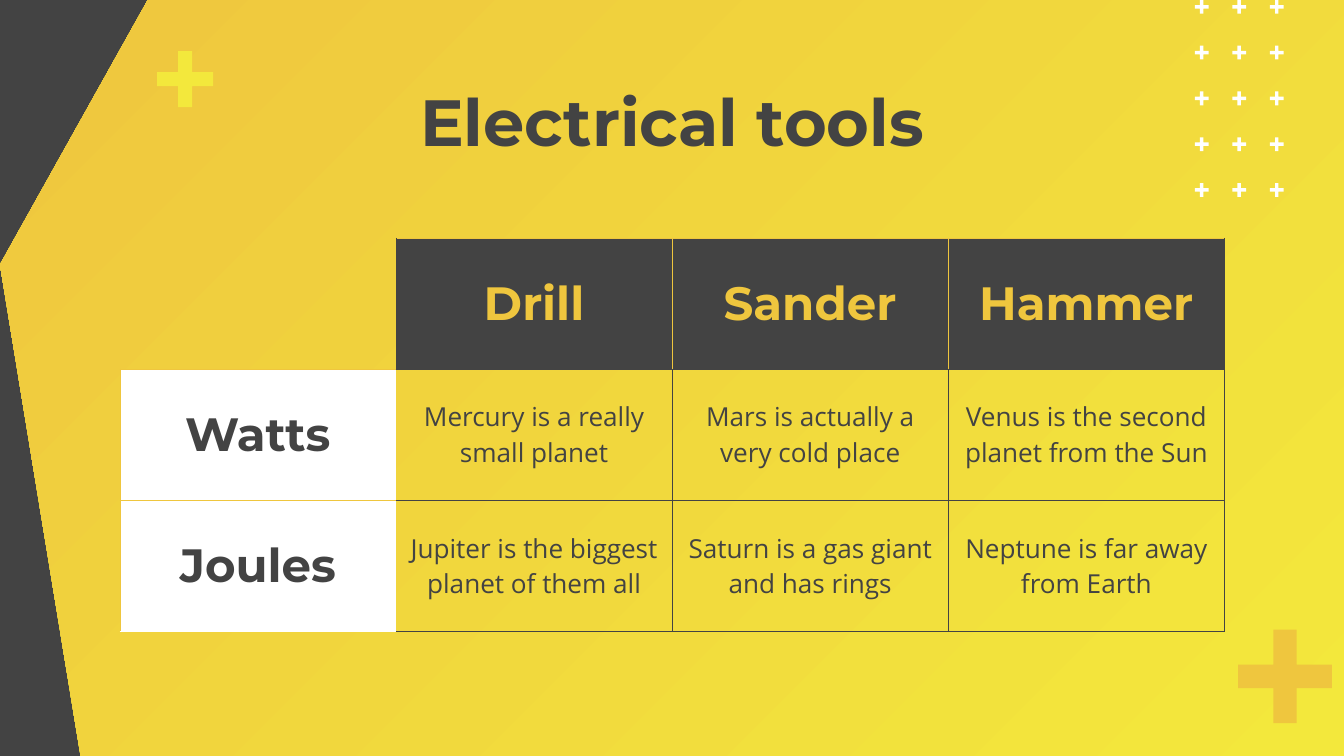
from lxml.etree import SubElement
from pptx import Presentation
from pptx.dml.color import RGBColor
from pptx.enum.shapes import MSO_SHAPE
from pptx.enum.text import MSO_ANCHOR, MSO_AUTO_SIZE, PP_ALIGN
from pptx.oxml.ns import qn
from pptx.util import Cm, Pt

HUES = {"dark": "434343", "gold": "EFC63E", "lemon": "F3E83C", "white": "FFFFFF"}
WIDE, HIGH = 50.8, 28.58
PAD = Cm(0.51)

TITLE = {"name": "Montserrat", "size": Pt(70), "bold": True}
HEAD = {"name": "Montserrat", "size": Pt(50), "bold": True}
BODY = {"name": "Open Sans", "size": Pt(28), "bold": False}
FRAME = {"margin_left": PAD, "margin_right": PAD, "margin_top": PAD, "margin_bottom": PAD}

ROWS = [
    ["", "Drill", "Sander", "Hammer"],
    ["Watts", "Mercury is a really small planet",
     "Mars is actually a very cold place", "Venus is the second planet from the Sun"],
    ["Joules", "Jupiter is the biggest planet of them all",
     "Saturn is a gas giant and has rings", "Neptune is far away from Earth"],
]


def hue(key):
    return RGBColor.from_string(HUES[key])


def put(item, form):
    for key, value in form.items():
        setattr(item, key, value)


def write(frame, text, form, color):
    para = frame.paragraphs[0]
    para.alignment = PP_ALIGN.CENTER
    run = para.add_run()
    run.text = text
    put(run.font, form)
    run.font.color.rgb = hue(color)


def add_panel(slide, box):
    """Gradient panel whose left side is folded inwards."""
    left, top, width, height = box
    spots = [(1, 0), (1, 1), (0.06, 1), (0, 0.35), (0.11, 0)]
    points = [(Cm(left + x * width), Cm(top + y * height)) for x, y in spots]
    pen = slide.shapes.build_freeform(*points[0], scale=1.0)
    pen.add_line_segments(points[1:], close=True)
    panel = pen.convert_to_shape()
    panel.shadow.inherit = False
    panel.line.fill.background()
    panel.fill.gradient()
    panel.fill.gradient_angle = 135
    for stop, key, place in zip(panel.fill.gradient_stops, ("lemon", "gold"), (0, 1)):
        stop.color.rgb = hue(key)
        stop.position = place


def add_plus(slide, left, top, size, color):
    plus = slide.shapes.add_shape(MSO_SHAPE.CROSS, Cm(left), Cm(top), Cm(size), Cm(size))
    plus.adjustments[0] = 0.375
    plus.shadow.inherit = False
    plus.fill.solid()
    plus.fill.fore_color.rgb = hue(color)
    plus.line.fill.background()


def add_dots(slide, left, top):
    """Grid of small plus signs."""
    for col in range(3):
        for row in range(5):
            add_plus(slide, left + col * 1.42, top + row * 1.73, 0.52, "white")


def add_title(slide, box, text):
    title = slide.shapes.title
    put(title, dict(zip(("left", "top", "width", "height"), map(Cm, box))))
    frame = title.text_frame
    put(frame, FRAME | {"word_wrap": True, "auto_size": MSO_AUTO_SIZE.NONE,
                        "vertical_anchor": MSO_ANCHOR.TOP})
    write(frame, text, TITLE, "dark")
    slide.shapes.element.append(title.element)  # bring above the panel


def get_look(row, col):
    """Fill, text colour, font and left, right, top, bottom edges of a cell."""
    if row == 0 and col == 0:
        return None, "dark", HEAD, (None, "dark", None, "gold")
    if row == 0:
        left = "dark" if col == 1 else "gold"
        right = "dark" if col == 3 else "gold"
        return "dark", "gold", HEAD, (left, right, "gold", "dark")
    if col == 0:
        base = "gold" if row == 1 else "white"
        return "white", "dark", HEAD, ("gold", None, "gold", base)
    left = None if col == 1 else "dark"
    return None, "dark", BODY, (left, "dark", "dark", "dark")


def set_edges(cell, edges):
    props = cell._tc.get_or_add_tcPr()
    for side, key in zip("LRTB", edges):
        line = SubElement(props, qn(f"a:ln{side}"), w=str(Pt(0.75)))
        if key:
            fill = SubElement(line, qn("a:solidFill"))
            SubElement(fill, qn("a:srgbClr"), val=HUES[key])
        else:
            SubElement(line, qn("a:noFill"))


def add_grid(slide, box, rows):
    left, top, width, height = map(Cm, box)
    table = slide.shapes.add_table(len(rows), len(rows[0]), left, top, width, height).table
    put(table, {"first_row": False, "horz_banding": False})
    for row, texts in enumerate(rows):
        for col, text in enumerate(texts):
            cell = table.cell(row, col)
            fill, color, form, edges = get_look(row, col)
            put(cell, FRAME | {"vertical_anchor": MSO_ANCHOR.MIDDLE})
            set_edges(cell, edges)
            if fill:
                cell.fill.solid()
                cell.fill.fore_color.rgb = hue(fill)
            else:
                cell.fill.background()
            if text:
                write(cell.text_frame, text, form, color)


def main():
    deck = Presentation()
    put(deck, {"slide_width": Cm(WIDE), "slide_height": Cm(HIGH)})
    slide = deck.slides.add_slide(deck.slide_layouts[5])
    slide.background.fill.solid()
    slide.background.fill.fore_color.rgb = hue("dark")

    # Backdrop
    add_panel(slide, (0, 0, WIDE, HIGH))
    add_plus(slide, 46.8, 23.8, 3.54, "gold")
    add_plus(slide, 5.94, 1.93, 2.12, "lemon")
    add_dots(slide, 45.16, 0)

    # Content
    add_title(slide, (4, 2.57, 42.8, 3.18), "Electrical tools")
    add_grid(slide, (4.53, 9, 41.75, 14.86), ROWS)
    deck.save("out.pptx")


if __name__ == "__main__":
    main()
